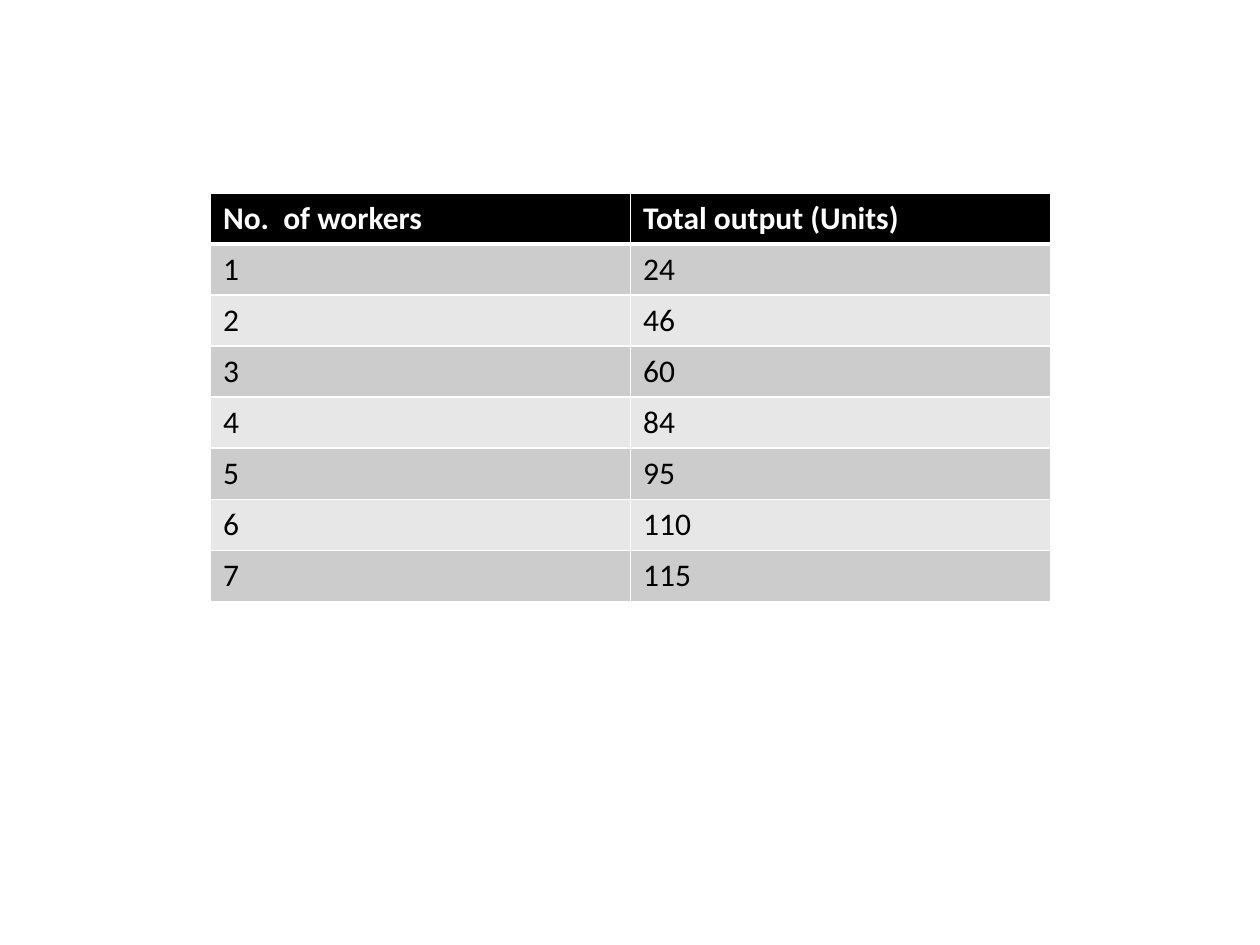
from lxml import etree
from pptx import Presentation
from pptx.dml.color import RGBColor
from pptx.oxml.ns import qn
from pptx.util import Inches, Pt

COLORS = {"head": "000000", "odd": "CCCCCC", "even": "E7E7E7",
          "line": "FFFFFF", "light": "FFFFFF", "dark": "000000"}
FONT = {"name": "Calibri", "size": Pt(18)}
BLANK = 6

ROWS = [("No.  of workers", "Total output (Units)"),
        ("1", "24"), ("2", "46"), ("3", "60"), ("4", "84"),
        ("5", "95"), ("6", "110"), ("7", "115")]


def set_edges(cell, widths):
    """Draw the cell borders; widths are points by side, in schema order."""
    props = cell._tc.get_or_add_tcPr()
    for side, width in widths.items():
        line = etree.SubElement(props, qn(f"a:ln{side}"), w=str(Pt(width)))
        fill = etree.SubElement(line, qn("a:solidFill"))
        etree.SubElement(fill, qn("a:srgbClr"), val=COLORS["line"])


def fill_cell(cell, text, row):
    head = row == 0
    # Borders go before the fill in the cell properties
    set_edges(cell, {"L": 1, "R": 1, "T": 3 if row == 1 else 1,
                     "B": 3 if head else 1})
    shade = "head" if head else "odd" if row % 2 else "even"
    cell.fill.solid()
    cell.fill.fore_color.rgb = RGBColor.from_string(COLORS[shade])

    # Text
    cell.text = text
    font = cell.text_frame.paragraphs[0].runs[0].font
    for key, value in {**FONT, "bold": head}.items():
        setattr(font, key, value)
    font.color.rgb = RGBColor.from_string(COLORS["light" if head else "dark"])


def add_grid(slide, rows, left, top, width, height):
    frame = slide.shapes.add_table(len(rows), len(rows[0]), Inches(left),
                                   Inches(top), Inches(width), Inches(height))
    for r, row in enumerate(rows):
        for c, text in enumerate(row):
            fill_cell(frame.table.cell(r, c), text, r)


def main():
    deck = Presentation()
    deck.slide_width, deck.slide_height = Inches(10), Inches(7.5)
    slide = deck.slides.add_slide(deck.slide_layouts[BLANK])

    # Output table
    add_grid(slide, ROWS, 1.67, 1.53, 6.67, 3.24)
    deck.save("out.pptx")


if __name__ == "__main__":
    main()
